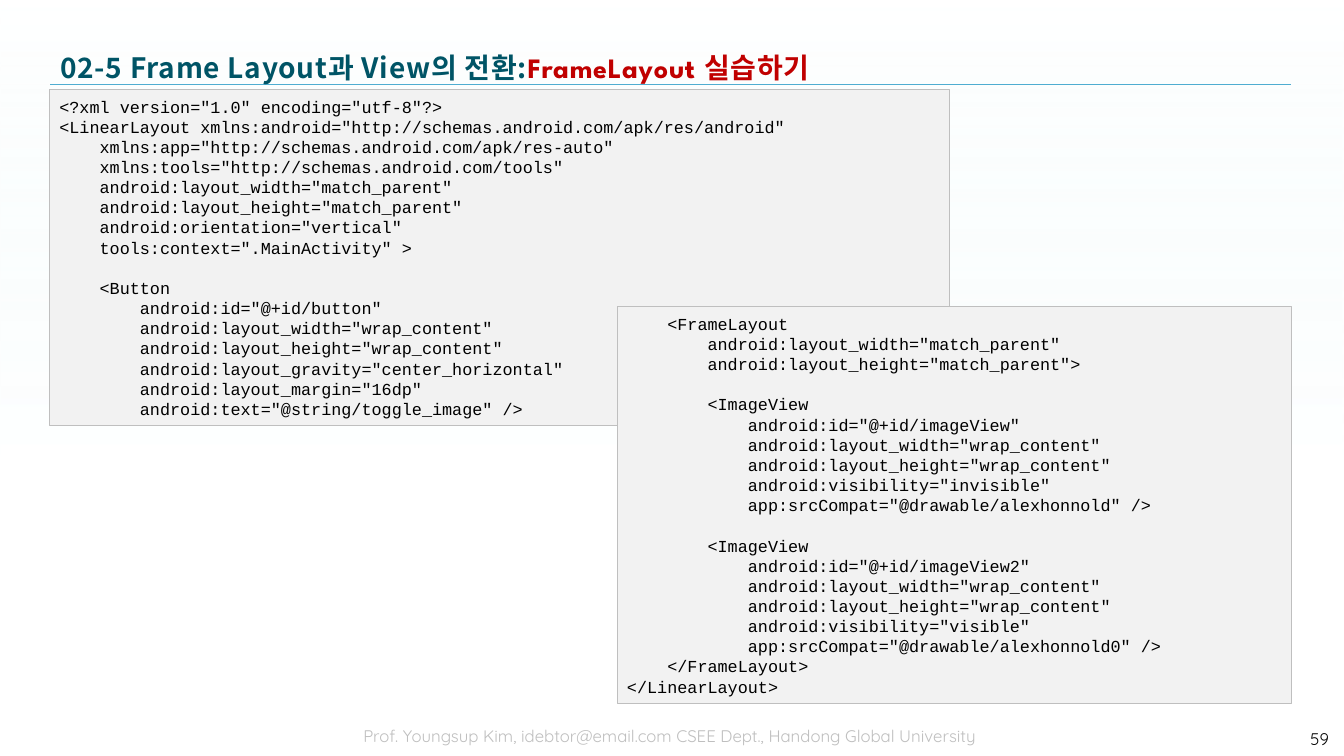
from lxml.etree import SubElement
from pptx import Presentation
from pptx.dml.color import RGBColor
from pptx.enum.shapes import MSO_CONNECTOR as Connector, MSO_SHAPE as Shape
from pptx.enum.text import MSO_ANCHOR as Anchor, PP_ALIGN as Align
from pptx.oxml.ns import qn
from pptx.util import Inches, Pt

WHITE = RGBColor(0xFF, 0xFF, 0xFF)
BLACK = RGBColor(0x00, 0x00, 0x00)
PALE_CYAN = RGBColor(0xD9, 0xF3, 0xF4)
RULE_BLUE = RGBColor(0x4F, 0xAD, 0xD1)
TEAL = RGBColor(0x00, 0x54, 0x66)
RED = RGBColor(0xC0, 0x00, 0x00)
CODE_FILL = RGBColor(0xF2, 0xF2, 0xF2)
GRAY = RGBColor(0xBF, 0xBF, 0xBF)

CODE_FONT, TITLE_FONT = "Courier New", "Noto Sans CJK KR"
ACCENT_FONT, FOOTER_FONT = "League Spartan", "Quicksand"
CODE_LINE = Pt(14.4)

LAYOUT_CODE = """\
<?xml version="1.0" encoding="utf-8"?>
<LinearLayout xmlns:android="http://schemas.android.com/apk/res/android"
    xmlns:app="http://schemas.android.com/apk/res-auto"
    xmlns:tools="http://schemas.android.com/tools"
    android:layout_width="match_parent"
    android:layout_height="match_parent"
    android:orientation="vertical"
    tools:context=".MainActivity" >

    <Button
        android:id="@+id/button"
        android:layout_width="wrap_content"
        android:layout_height="wrap_content"
        android:layout_gravity="center_horizontal"
        android:layout_margin="16dp"
        android:text="@string/toggle_image" />"""

FRAME_CODE = """\
    <FrameLayout
        android:layout_width="match_parent"
        android:layout_height="match_parent">

        <ImageView
            android:id="@+id/imageView"
            android:layout_width="wrap_content"
            android:layout_height="wrap_content"
            android:visibility="invisible"
            app:srcCompat="@drawable/alexhonnold" />

        <ImageView
            android:id="@+id/imageView2"
            android:layout_width="wrap_content"
            android:layout_height="wrap_content"
            android:visibility="visible"
            app:srcCompat="@drawable/alexhonnold0" />
    </FrameLayout>
</LinearLayout>"""


def add_span(para, text, font=FOOTER_FONT, size=12, color=BLACK, bold=False,
             spacing=None, east_asian=None):
    span = para.add_run()
    span.text = text
    span.font.name, span.font.size, span.font.bold = font, Pt(size), bold
    span.font.color.rgb = color
    properties = span.font._element
    if spacing:
        properties.set("spc", str(round(spacing * 100)))
    if east_asian:
        SubElement(properties, qn("a:ea"), typeface=east_asian)


class SlideBuilder:
    def __init__(self, deck):
        self.page = deck.slides.add_slide(deck.slide_layouts[6])

    def rectangle(self, left, top, width, height):
        box = self.page.shapes.add_shape(
            Shape.RECTANGLE, Inches(left), Inches(top), Inches(width), Inches(height))
        box.shadow.inherit = False
        return box

    def backdrop(self, width, height):
        """Fill the page with a soft tint that fades to white."""
        box = self.rectangle(0, 0, width, height)
        box.line.fill.background()
        box.fill.gradient()
        box.fill.gradient_angle = 270
        stops = zip(box.fill.gradient_stops, ((0, PALE_CYAN), (0.61, WHITE)))
        for stop, (position, color) in stops:
            stop.position, stop.color.rgb = position, color
        colors = box._element.spPr.iter(qn("a:srgbClr"))
        for color, opacity in zip(colors, (0, 40)):
            SubElement(color, qn("a:alpha"), val=str(opacity * 1000))

    def rule(self, left, right, top):
        line = self.page.shapes.add_connector(
            Connector.STRAIGHT, Inches(left), Inches(top), Inches(right), Inches(top))
        line.line.color.rgb, line.line.width = RULE_BLUE, Pt(0.25)
        SubElement(line._element.spPr, qn("a:effectLst"))

    def label(self, left, top, width, height, align=Align.LEFT, anchor=Anchor.MIDDLE):
        """Add a text box and return its first paragraph."""
        box = self.page.shapes.add_textbox(
            Inches(left), Inches(top), Inches(width), Inches(height))
        box.text_frame.word_wrap = True
        box.text_frame.vertical_anchor = anchor
        para = box.text_frame.paragraphs[0]
        para.alignment = align
        return para

    def code(self, left, top, width, height, source):
        """Add a code panel; a blank source line becomes space before the next one."""
        box = self.rectangle(left, top, width, height)
        box.fill.solid()
        box.fill.fore_color.rgb = CODE_FILL
        box.line.color.rgb, box.line.width = GRAY, Pt(0.75)
        frame = box.text_frame
        frame.word_wrap = True
        frame.vertical_anchor = Anchor.MIDDLE
        para, gap = frame.paragraphs[0], False
        for number, line in enumerate(source.splitlines()):
            if not line:
                gap = True
                continue
            if number:
                para = frame.add_paragraph()
            para.alignment = Align.LEFT
            para.line_spacing = CODE_LINE
            if gap:
                para.space_before = CODE_LINE
            add_span(para, line, font=CODE_FONT)
            gap = False


def main():
    deck = Presentation()
    deck.slide_width, deck.slide_height = Inches(13.33), Inches(7.5)
    slide = SlideBuilder(deck)
    slide.backdrop(13.33, 7.5)
    slide.rule(0.5, 12.8, 0.84)

    footer = slide.label(2.43, 7.15, 8.43, 0.36, Align.CENTER, Anchor.TOP)
    add_span(footer, "Prof. Youngsup Kim, idebtor@email.com CSEE Dept., "
                     "Handong Global University", color=GRAY)

    title = slide.label(0.5, 0.42, 12.3, 0.5)
    title_style = dict(size=20, bold=True, spacing=0.5, east_asian=TITLE_FONT)
    add_span(title, "02-5 Frame Layout과 View의 전환:",
             font=TITLE_FONT, color=TEAL, **title_style)
    add_span(title, "FrameLayout 실습하기", font=ACCENT_FONT, color=RED, **title_style)

    add_span(slide.label(12.11, 7.13, 1.17, 0.4, Align.RIGHT), "59")

    slide.code(0.49, 0.89, 8.93, 3.33, LAYOUT_CODE)
    slide.code(6.12, 3.04, 6.69, 3.94, FRAME_CODE)
    deck.save("out.pptx")


if __name__ == "__main__":
    main()
